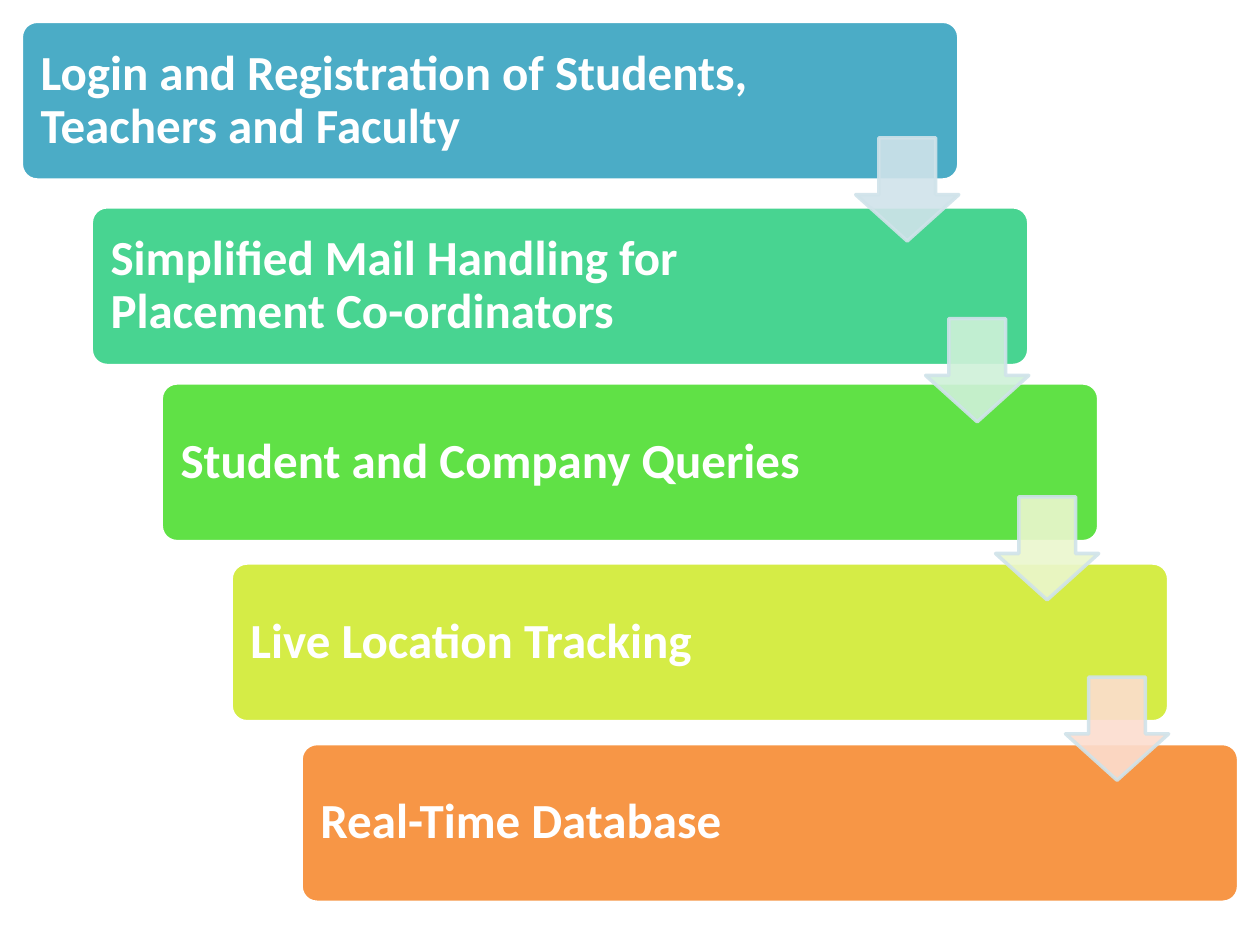
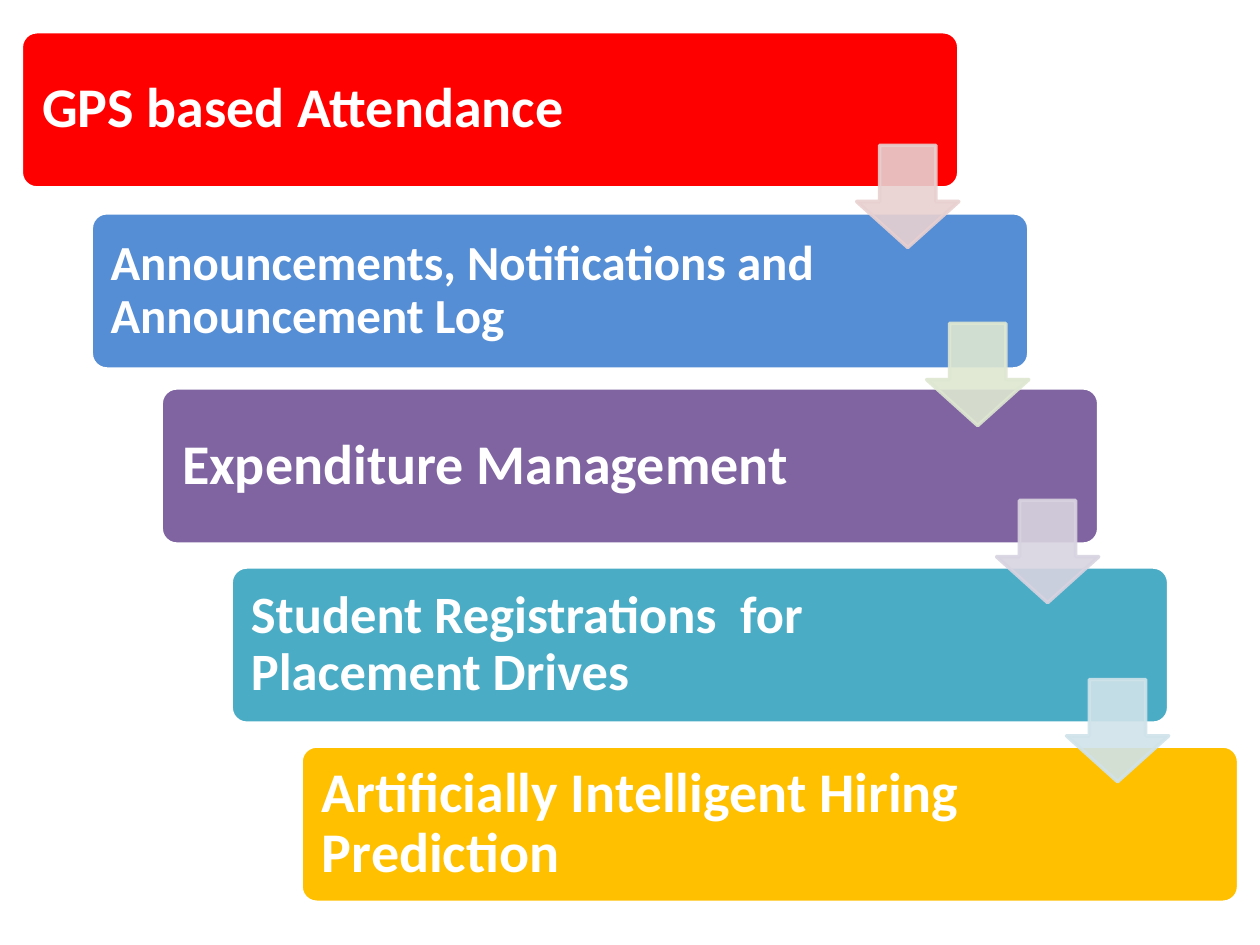
from lxml import etree
from pptx import Presentation
from pptx.dml.color import RGBColor
from pptx.enum.shapes import MSO_SHAPE
from pptx.enum.text import MSO_ANCHOR, PP_ALIGN
from pptx.oxml.ns import qn
from pptx.util import Cm, Pt

ROUND = MSO_SHAPE.ROUNDED_RECTANGLE
ARROW = MSO_SHAPE.DOWN_ARROW
MIDDLE = MSO_ANCHOR.MIDDLE
LEFT = PP_ALIGN.LEFT

FONT = "Calibri"
COLORS = {
    "white": "FFFFFF", "teal": "4BACC6", "mint": "48D491", "green": "60E146",
    "lime": "D5EC46", "orange": "F79646", "red": "FF0000", "blue": "558ED5",
    "purple": "8064A2", "gold": "FFC000", "pale teal": "D0E3EA",
    "pale mint": "CFF1D9", "pale lime": "EBF7CE", "pale peach": "FCDDCF",
    "pale red": "E8D0D0", "pale green": "DEE7D1", "pale purple": "D8D3E0",
}

START, SHIFT, WIDTH = 0.43, 1.41, 18.9
PAD, LABEL = 0.09, 15.25
LIFT = 0.08

ACCESS = {
    "height": 3.2, "arrow": 2.08, "edge": "pale teal",
    "tops": [0.43, 4.17, 7.72, 11.35, 14.99],
    "steps": [
        ("Login and Registration of Students, Teachers and Faculty", "teal", 28, 0.3),
        ("Simplified Mail Handling for Placement Co-ordinators", "mint", 28, 0.3),
        ("Student and Company Queries", "green", 28, 0.3),
        ("Live Location Tracking", "lime", 28, 0.3),
        ("Real-Time Database", "orange", 28, 0.3),
    ],
    "tints": ["pale teal", "pale mint", "pale lime", "pale peach"],
}
CAMPUS = {
    "height": 3.15, "arrow": 2.06, "edge": None,
    "tops": [0.64, 4.29, 7.82, 11.43, 15.04],
    "steps": [
        ("GPS based Attendance", "red", 32, 0.33),
        ("Announcements, Notifications and Announcement Log", "blue", 28, 0.3),
        ("Expenditure Management", "purple", 32, 0.33),
        ("Student Registrations  for Placement Drives", "teal", 30, 0.31),
        ("Artificially Intelligent Hiring Prediction", "gold", 32, 0.33),
    ],
    "tints": ["pale red", "pale green", "pale purple", "pale teal"],
}


def paint(fill, color, alpha=100):
    """Make a fill solid, with its opacity in percent."""
    fill.solid()
    fill.fore_color.rgb = RGBColor.from_string(COLORS[color])
    if alpha < 100:
        tone = fill._xPr.find(qn("a:solidFill"))[0]
        etree.SubElement(tone, qn("a:alpha"), val=str(alpha * 1000))


def add_form(slide, kind, box, color, edge, adjust, alpha=100):
    """Add a filled and outlined preset shape in a box given in cm."""
    form = slide.shapes.add_shape(kind, *map(Cm, box))
    form.shadow.inherit = False
    for index, value in enumerate(adjust):
        form.adjustments[index] = value
    paint(form.fill, color, alpha)
    paint(form.line.fill, edge, alpha)
    form.line.width = Pt(2)


def add_label(slide, box, text, size, inset):
    """Add the bold white label of a step."""
    frame = slide.shapes.add_textbox(*map(Cm, box)).text_frame
    frame.word_wrap = True
    frame.vertical_anchor = MIDDLE
    frame.margin_left = frame.margin_right = Cm(inset)
    frame.margin_top = frame.margin_bottom = Cm(inset)
    line = frame.paragraphs[0]
    line.alignment = LEFT
    line.line_spacing = 0.9
    run = line.add_run()
    run.text = text
    font = run.font
    font.name, font.size, font.bold = FONT, Pt(size), True
    font.color.rgb = RGBColor.from_string(COLORS["white"])


def add_step(slide, box, step):
    """Add one step, a rounded bar with its label inside."""
    text, color, size, inset = step
    left, top, _, height = box
    add_form(slide, ROUND, box, color, "white", [0.1])
    inner = (left + PAD, top + PAD, LABEL, height - 2 * PAD)
    add_label(slide, inner, text, size, inset)


def add_arrow(slide, upper, lower, size, tint, edge):
    """Add the arrow across the gap between two steps."""
    left, top, width, height = upper
    center = (top + height + lower[1]) / 2 - LIFT
    box = (left + width - size, center - size / 2, size, size)
    add_form(slide, ARROW, box, tint, edge or tint, [0.55, 0.45], 90)


def add_stairs(deck, plan):
    """Add a slide of steps that descend to the right."""
    slide = deck.slides.add_slide(deck.slide_layouts.get_by_name("Blank"))
    boxes = [(START + SHIFT * index, top, WIDTH, plan["height"])
             for index, top in enumerate(plan["tops"])]
    for box, step in zip(boxes, plan["steps"]):
        add_step(slide, box, step)
    for upper, lower, tint in zip(boxes, boxes[1:], plan["tints"]):
        add_arrow(slide, upper, lower, plan["arrow"], tint, plan["edge"])


def main():
    """Build and save the deck."""
    deck = Presentation()
    deck.slide_width, deck.slide_height = Cm(25.4), Cm(19.05)
    for plan in (ACCESS, CAMPUS):
        add_stairs(deck, plan)
    deck.save("out.pptx")


if __name__ == "__main__":
    main()
